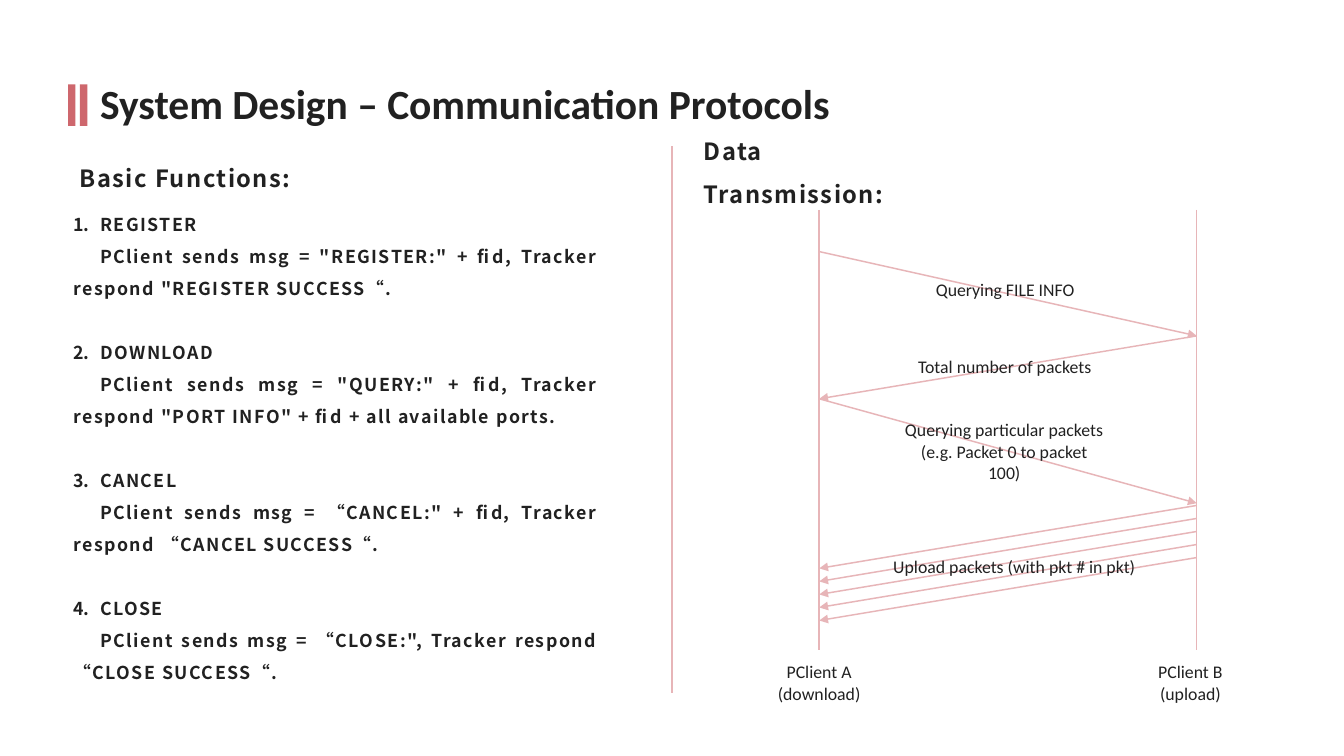
"""Build the communication protocols slide."""
import pptx
import pptx.dml.color
import pptx.enum.shapes
import pptx.enum.text
import pptx.oxml
import pptx.oxml.ns
import pptx.util

Pt = pptx.util.Pt
ALIGN = pptx.enum.text.PP_ALIGN
ANCHOR = pptx.enum.text.MSO_ANCHOR
INK, ROSE, PINK = "212121", "CE676D", "E7B5B8"
CJK = "Noto Sans CJK SC"
NS = pptx.oxml.ns.nsdecls("a")
rgb = pptx.dml.color.RGBColor.from_string

prs = pptx.Presentation()
prs.slide_width, prs.slide_height = Pt(907.2), Pt(510.5)
s = prs.slides.add_slide(prs.slide_layouts[6])


def add_text(box, lines, font, para, wrap=True, anchor=ANCHOR.TOP):
    sp = s.shapes.add_textbox(*[Pt(v) for v in box])
    tf = sp.text_frame
    tf.word_wrap, tf.vertical_anchor = wrap, anchor
    tf.auto_size = pptx.enum.text.MSO_AUTO_SIZE.SHAPE_TO_FIT_TEXT
    for i, line in enumerate(lines):
        p = tf.paragraphs[0] if i == 0 else tf.add_paragraph()
        for name, value in para.items():
            setattr(p, name, value)
        r = p.add_run()
        r.text = line
        for name, value in font.items():
            setattr(r.font, name, value)
        r.font.color.rgb = rgb(INK)
        if font["name"] == CJK:
            rPr = r._r.get_or_add_rPr()
            rPr.set("spc", "100")
            rPr.append(pptx.oxml.parse_xml(f'<a:ea {NS} typeface="{CJK}"/>'))
    return tf


def add_line(x1, y1, x2, y2, arrow=False):
    kind = pptx.enum.shapes.MSO_CONNECTOR.STRAIGHT
    c = s.shapes.add_connector(kind, Pt(x1), Pt(y1), Pt(x2), Pt(y2))
    c.line.color.rgb = rgb(PINK)
    c.line.width = Pt(1)
    if arrow:
        c.line._get_or_add_ln().append(pptx.oxml.parse_xml(f'<a:tailEnd {NS} type="triangle"/>'))
    c._element.spPr.append(pptx.oxml.parse_xml(f"<a:effectLst {NS}/>"))


title_font = {"name": "Calibri", "size": Pt(28), "bold": True}
head_font = {"name": CJK, "size": Pt(16), "bold": True}
body_font = {"name": CJK, "size": Pt(12), "bold": True}
label_font = {"name": "Calibri", "size": Pt(12)}
justified = {"alignment": ALIGN.JUSTIFY, "line_spacing": 1.5}
centred = {"alignment": ALIGN.CENTER}

add_text((60.5, 49, 512.6, 41), ["System Design – Communication Protocols"], title_font, {}, wrap=False)
for x in (46, 54):
    sp = s.shapes.add_shape(pptx.enum.shapes.MSO_SHAPE.RECTANGLE, Pt(x), Pt(57), Pt(5), Pt(28))
    sp.shadow.inherit = False
    sp.fill.solid()
    sp.fill.fore_color.rgb = rgb(ROSE)
    sp.line.fill.background()

functions = [
    ("REGISTER", 'PClient sends msg = "REGISTER:" + fid, Tracker respond "REGISTER SUCCESS“.'),
    ("DOWNLOAD", 'PClient sends msg = "QUERY:" + fid, Tracker respond "PORT INFO" + fid + all available ports.'),
    ("CANCEL", 'PClient sends msg = “CANCEL:" + fid, Tracker respond “CANCEL SUCCESS“.'),
    ("CLOSE", 'PClient sends msg = “CLOSE:", Tracker respond “CLOSE SUCCESS“.'),
]
lines = [line for function in functions for line in function]
tf = add_text((42.5, 133.2, 368.6, 331.9), lines, body_font, justified, anchor=ANCHOR.MIDDLE)
for i, p in enumerate(tf.paragraphs):
    pPr = p._p.get_or_add_pPr()
    if i % 2:
        pPr.set("indent", str(Pt(18)))
        continue
    p.space_before = Pt(21.6 if i else 0)
    pPr.set("marL", str(Pt(18)))
    pPr.set("indent", str(-Pt(18)))
    number = f'<a:buAutoNum {NS} type="arabicPeriod" startAt="{i // 2 + 1}"/>'
    pPr.append(pptx.oxml.parse_xml(number))

for x, y, heading in [(46.8, 98.6, "Basic Functions:"), (468, 95, "Data Transmission:")]:
    add_text((x, y, 180, 33.1), [heading], head_font, justified, anchor=ANCHOR.MIDDLE)
add_line(453.6, 98.6, 453.6, 468)

client_a, client_b = 553, 807.8
for x in (client_a, client_b):
    add_line(x, 141.8, x, 439.2)
messages = [
    (client_a, 169.9, client_b, 226.8),
    (client_b, 226.8, client_a, 269.3),
    (client_a, 269.3, client_b, 339.8),
]
messages += [(client_b, 341.3 + 8.8 * i, client_a, 383.8 + 8.8 * i) for i in range(5)]
for message in messages:
    add_line(*message, arrow=True)

labels = [
    (514.8, 442.8, 76.3, 36, ["PClient A (download)"]),
    (765.4, 442.8, 76.3, 36, ["PClient B (upload)"]),
    (622.1, 185, 113, 21.6, ["Querying FILE INFO"]),
    (609.1, 236.9, 138.2, 21.6, ["Total number of packets"]),
    (602.6, 279.4, 150.5, 36, ["Querying particular packets", "(e.g. Packet 0 to packet 100)"]),
    (589, 371.5, 191.5, 21.6, ["Upload packets (with pkt # in pkt)"]),
]
for *box, lines in labels:
    add_text(box, lines, label_font, centred)

prs.save("out.pptx")
